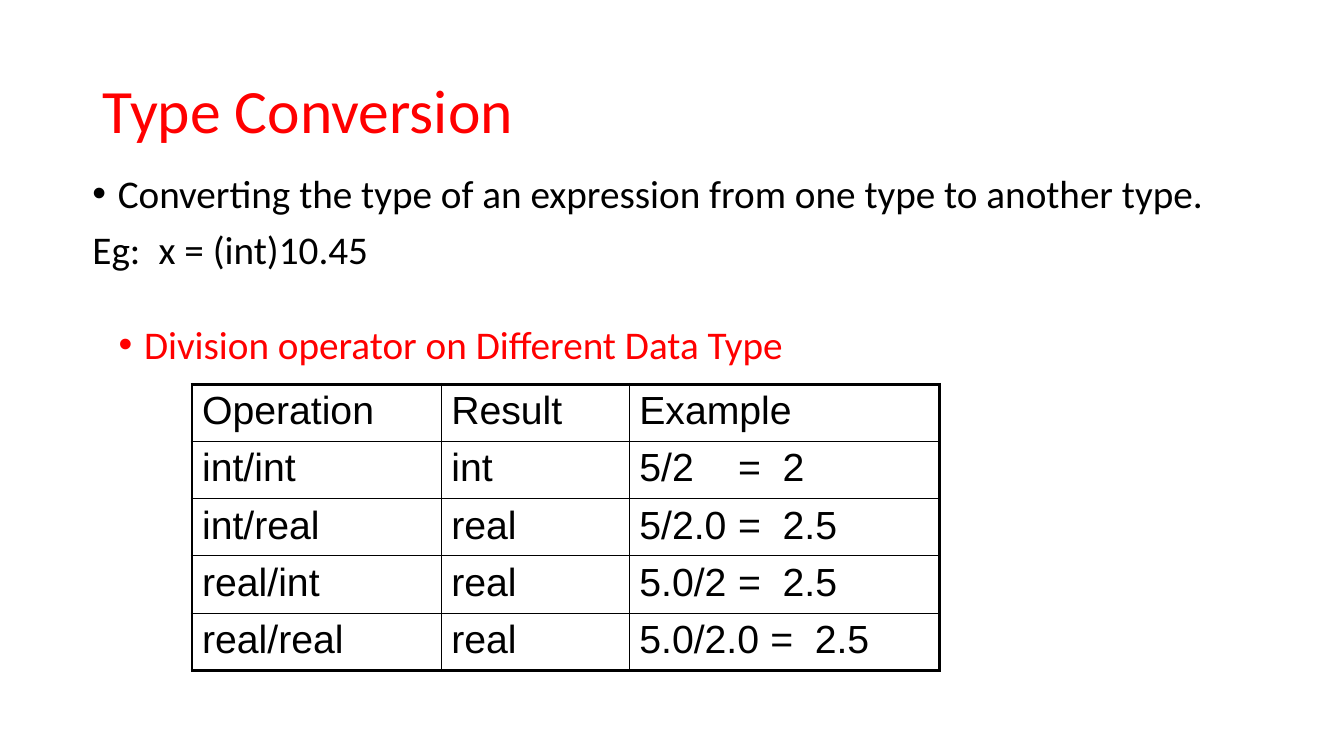
from lxml import etree
from pptx import Presentation
from pptx.dml.color import RGBColor
from pptx.enum.text import MSO_ANCHOR, MSO_AUTO_SIZE, PP_ALIGN
from pptx.oxml.ns import qn
from pptx.util import Cm, Pt

LEFT = PP_ALIGN.LEFT
MIDDLE = MSO_ANCHOR.MIDDLE
TOP = MSO_ANCHOR.TOP
NO_AUTOFIT = MSO_AUTO_SIZE.NONE
RED = RGBColor(0xFF, 0, 0)
BLACK = RGBColor(0, 0, 0)
TITLE_ONLY = 5
BULLET_INDENT = 0.64
THIN, THICK = 1, 2.25

OPERATIONS = [
    ("Operation", "Result", "Example"),
    ("int/int", "int", "5/2\t=\t2"),
    ("int/real", "real", "5/2.0\t=\t2.5"),
    ("real/int", "real", "5.0/2\t=\t2.5"),
    ("real/real", "real", "5.0/2.0\t=\t2.5"),
]
COLUMN_WIDTHS = (6.28, 4.74, 7.82)
ROW_HEIGHTS = (1.38, 1.38, 1.38, 1.45, 1.38)
EQUALS_STOPS = (2.49, 3.61)
WIDE_EQUALS_STOPS = (3.3, 4.42)


class SlideBuilder:
    text_font = {"name": "Calibri", "size": Pt(28)}
    title_font = {"name": "Calibri", "size": Pt(44)}
    table_font = {"name": "Arial", "size": Pt(28)}

    def __init__(self, presentation):
        self.slide = presentation.slides.add_slide(presentation.slide_layouts[TITLE_ONLY])

    def add_words(self, paragraph, text, font, color):
        paragraph.alignment = LEFT
        run = paragraph.add_run()
        run.text = text
        for name, value in font.items():
            setattr(run.font, name, value)
        run.font.color.rgb = color

    def add_bullet(self, paragraph, color):
        properties = paragraph._p.get_or_add_pPr()
        properties.set("marL", str(Cm(BULLET_INDENT)))
        properties.set("indent", str(-Cm(BULLET_INDENT)))
        bullet_color = etree.SubElement(properties, qn("a:buClr"))
        etree.SubElement(bullet_color, qn("a:srgbClr"), val=str(color))
        etree.SubElement(properties, qn("a:buFont"), typeface="Arial")
        etree.SubElement(properties, qn("a:buChar"), char="•")

    def add_tabs(self, paragraph, stops):
        tabs = etree.SubElement(paragraph._p.get_or_add_pPr(), qn("a:tabLst"))
        for stop in stops:
            etree.SubElement(tabs, qn("a:tab"), pos=str(Cm(stop)), algn="l")

    def title(self, text, left, top, width, height):
        shape = self.slide.shapes.title
        position = {"left": left, "top": top, "width": width, "height": height}
        for name, value in position.items():
            setattr(shape, name, Cm(value))
        frame = shape.text_frame
        frame.auto_size = NO_AUTOFIT
        frame.vertical_anchor = MIDDLE
        paragraph = frame.paragraphs[0]
        paragraph.line_spacing = 0.9
        self.add_words(paragraph, text, self.title_font, RED)

    def text(self, lines, left, top, width, height, color):
        box = self.slide.shapes.add_textbox(Cm(left), Cm(top), Cm(width), Cm(height))
        frame = box.text_frame
        frame.word_wrap = True
        frame.vertical_anchor = TOP
        for index, (line, stops) in enumerate(lines):
            paragraph = frame.add_paragraph() if index else frame.paragraphs[0]
            if stops:
                self.add_tabs(paragraph, stops)
            else:
                self.add_bullet(paragraph, color)
            paragraph.line_spacing = 0.9
            paragraph.space_before = Pt(10 if index else 0)
            self.add_words(paragraph, line, self.text_font, color)

    def add_borders(self, cell, widths):
        properties = cell._tc.get_or_add_tcPr()
        for side, width in widths.items():
            line = etree.SubElement(properties, qn(f"a:ln{side}"), w=str(Pt(width)))
            fill = etree.SubElement(line, qn("a:solidFill"))
            etree.SubElement(fill, qn("a:srgbClr"), val=str(BLACK))

    def table(self, rows, left, top, widths, heights):
        frame = self.slide.shapes.add_table(
            len(rows), len(widths), Cm(left), Cm(top), Cm(sum(widths)), Cm(sum(heights)))
        table = frame.table
        table.first_row = False
        table.horz_banding = False
        for column, width in zip(table.columns, widths):
            column.width = Cm(width)
        last_row, last_column = len(rows) - 1, len(widths) - 1
        for i, values in enumerate(rows):
            table.rows[i].height = Cm(heights[i])
            for j, value in enumerate(values):
                cell = table.cell(i, j)
                self.add_borders(cell, {
                    "L": THICK if j == 0 else THIN,
                    "R": THICK if j == last_column else THIN,
                    "T": THICK if i == 0 else THIN,
                    "B": THICK if i == last_row else THIN,
                })
                cell.fill.background()
                paragraph = cell.text_frame.paragraphs[0]
                if "\t" in value:
                    self.add_tabs(paragraph, WIDE_EQUALS_STOPS if i == last_row else EQUALS_STOPS)
                self.add_words(paragraph, value, self.table_font, BLACK)


def main():
    presentation = Presentation()
    presentation.slide_width = Cm(33.87)
    presentation.slide_height = Cm(19.05)
    builder = SlideBuilder(presentation)
    builder.title("Type Conversion", 2.34, 1.02, 29.21, 3.68)
    builder.text([
        ("Converting the type of an expression from one type to another type.", None),
        ("Eg:\tx = (int)10.45", (1.67,)),
    ], 2.08, 4.27, 29.44, 3.2, BLACK)
    builder.text([("Division operator on Different Data Type", None)],
                 2.74, 8.08, 29.21, 1.5, RED)
    builder.table(OPERATIONS, 4.84, 9.68, COLUMN_WIDTHS, ROW_HEIGHTS)
    presentation.save("out.pptx")


if __name__ == "__main__":
    main()
